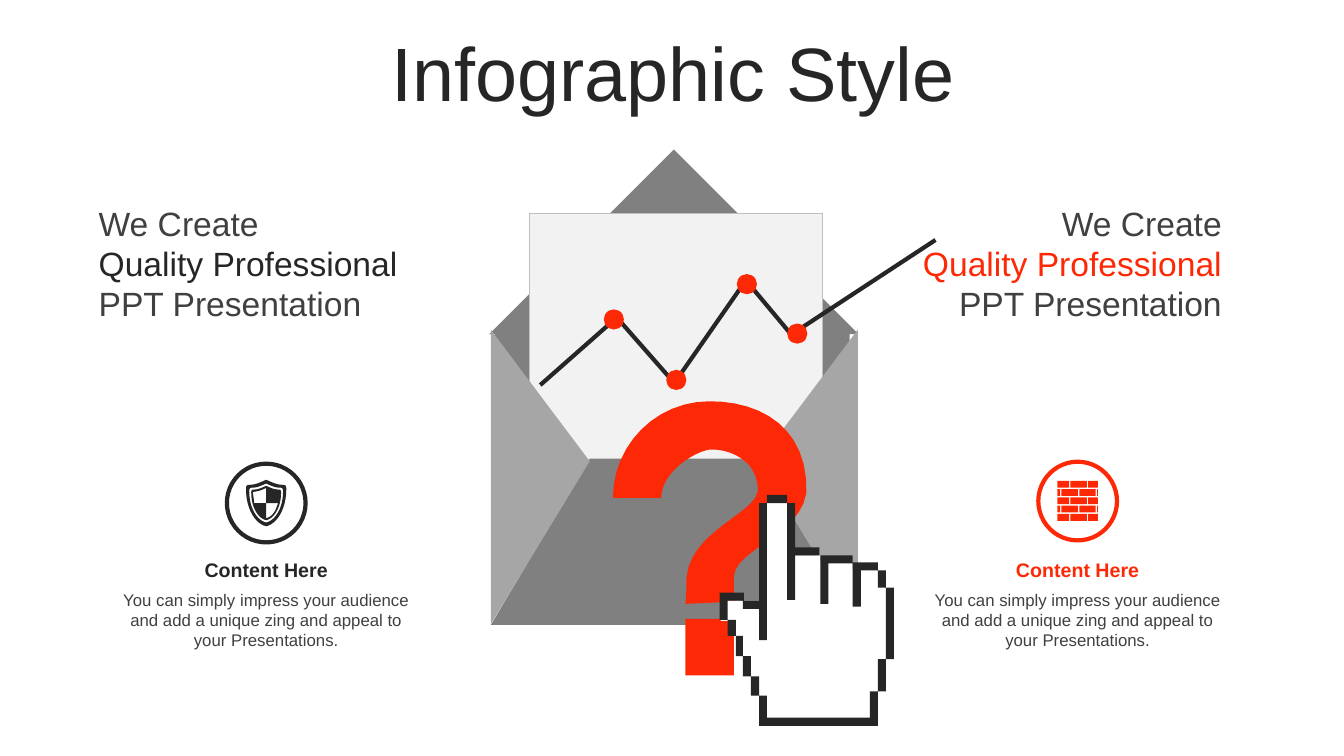
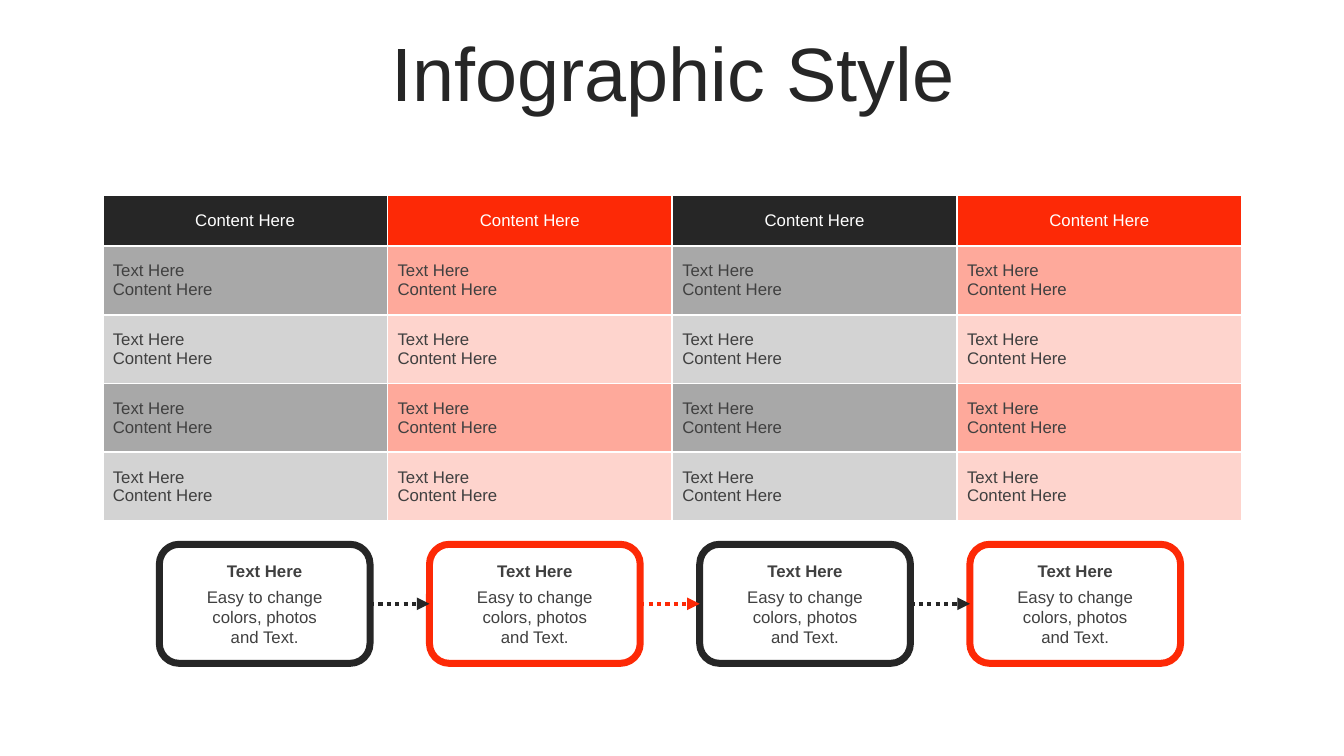
"""Build two infographic slides: an open envelope with a chart, and a table with a process row."""
import dataclasses

import lxml.etree
import pptx
import pptx.dml.color
import pptx.enum.dml
import pptx.enum.shapes
import pptx.enum.text
import pptx.oxml.ns
import pptx.util

Pt = pptx.util.Pt
qn = pptx.oxml.ns.qn
SHAPE = pptx.enum.shapes.MSO_SHAPE
ALIGN = pptx.enum.text.PP_ALIGN
ANCHOR = pptx.enum.text.MSO_ANCHOR


@dataclasses.dataclass(frozen=True)
class Theme:
    font: str = "Arial"
    dark: str = "262626"
    red: str = "FD2906"
    text: str = "404040"
    white: str = "FFFFFF"
    paper: str = "F2F2F2"
    paper_edge: str = "BFBFBF"
    inside: str = "808080"
    flap: str = "A6A6A6"
    title_size: float = 54
    slogan_size: float = 24
    heading_size: float = 14
    body_size: float = 12


T = Theme()
ACCENTS = (T.dark, T.red)
SLIDE_SIZE = (960, 540)
TITLE = "Infographic Style"
TITLE_BOX = (25.2, 26.6, 911.5, 56.9)

SLOGAN = ("We Create", "Quality Professional", "PPT Presentation")
SLOGAN_BOXES = (
    ((63.4, 141.1, 252, 94.3), ALIGN.LEFT, T.dark),
    ((627.8, 141.1, 252, 94.3), ALIGN.RIGHT, T.red),
)
CONTENT_HEADING = "Content Here"
CONTENT_BODY = "You can simply impress your audience and add a unique zing and appeal to your Presentations."
CONTENT_TOP, CONTENT_W, CONTENT_H = 395.2, 220.5, 73
RING = 56.2

ENVELOPE_PARTS = (
    (SHAPE.RECTANGLE, (353.5, 237.6, 253.4, 147.2), 0, None, T.inside, None),
    (SHAPE.RIGHT_TRIANGLE, (388.1, 145.4, 186.5, 186.5), 135, None, T.inside, None),
    (SHAPE.RECTANGLE, (378, 152.6, 209.5, 288.7), 0, None, T.paper, T.paper_edge),
    (SHAPE.TRAPEZOID, (350.6, 327.6, 263.5, 118.8), 0, 0.595, T.inside, None),
    (SHAPE.ISOSCELES_TRIANGLE, (280.8, 305.3, 210.2, 70.6), 90, 0.447, T.flap, None),
    (SHAPE.ISOSCELES_TRIANGLE, (472.3, 305.3, 210.2, 70.6), 270, 0.553, T.flap, None),
)
TREND = [(385.9, 275), (440.6, 226.8), (481.7, 273.6), (532.8, 200.2), (565.2, 239), (668.2, 171.4)]
DOTS = ((438.5, 228.2), (483.1, 271.4), (533.5, 203), (569.5, 238.3))
DOT = 14.4

QUESTION_HOOK = [
    (506.9, 286.6), (544.3, 286.6, 577.4, 306, 576, 352.1),
    (571, 383, 524.9, 392.4, 524.2, 411.8), (524.2, 429.8), (489.6, 431.3),
    (490.3, 424.8, 490.3, 419, 490.3, 413.3), (492.5, 379.4, 539.3, 367.2, 541.4, 350.6),
    (541.4, 326.9, 518.4, 320.4, 506.9, 321.1), (496.1, 322.6, 472.3, 337, 472.3, 355.7),
    (437.8, 355.7), (437.8, 317.5, 468.7, 286.6, 506.9, 286.6),
]
QUESTION_DOT = (489.6, 442.1, 34.6, 40.3)

HAND_BODY = [
    (547.9, 359.3), (562.3, 359.3), (562.3, 396.7), (586.1, 396.7), (586.1, 401),
    (609.1, 401), (609.1, 406.8), (627.1, 406.8), (627.1, 419.8), (637.2, 419.8),
    (637.2, 470.9), (627.1, 470.9), (627.1, 493.9), (624.2, 493.9), (624.2, 513.4),
    (545.8, 513.4), (545.8, 496.8), (542.2, 496.8), (542.2, 483.1), (535, 483.1),
    (535, 468.7), (527.8, 468.7), (527.8, 454.3), (522, 454.3), (522, 443.5),
    (514.8, 443.5), (514.8, 429.1), (547.9, 429.1),
]
HAND_PIXELS = (
    (547.9, 353.5, 562.3, 359.3), (542.2, 359.3, 547.9, 457.2), (562.3, 359.3, 568.1, 428.4),
    (568.1, 391, 585.4, 396.7), (586.1, 396.7, 591.8, 431.3), (591.8, 396.7, 609.1, 402.5),
    (609.1, 401.8, 614.9, 433.4), (614.9, 401.8, 627.1, 407.5), (627.1, 407.5, 632.9, 419.8),
    (632.9, 419.8, 638.6, 470.9), (627.1, 470.9, 632.9, 493.9), (621.4, 493.9, 627.1, 518.4),
    (547.9, 512.6, 621.4, 518.4), (542.2, 496.8, 547.9, 518.4), (536.4, 483.1, 542.2, 496.8),
    (530.6, 468.7, 536.4, 483.1), (525.6, 454.3, 530.6, 468.7), (519.8, 442.8, 525.6, 454.3),
    (514.1, 423.4, 519.8, 442.8), (519.8, 423.4, 531.4, 429.1), (530.6, 429.1, 542.2, 434.9),
)

SHIELD_HALF = [
    (0, -16.6), (5, -14.4, 7.9, -13, 12.2, -13),
    (13.7, -13, 14.4, -12.2, 14.4, -10.1), (14.4, 5, 7.2, 15.1, 0, 16.6),
]
SHIELD_SCALES = (1, 0.84, 0.74)
SHIELD_QUARTERS = (
    [(0, 0), (0, -10.8), (-2.9, -9.4, -4.3, -8.6, -9.4, -7.9), (-9.4, -5, -8.6, -2.9, -8.6, 0)],
    [(0, 0), (8.6, 0), (7.2, 3.6, 5.8, 9.4, 0, 10.8)],
)
WALL, BRICK_W, BRICK_H, BRICK_STEP, ROW_STEP = 28.8, 11.7, 4.9, 12.7, 5.9

TABLE_HEADS = ("Content Here",) * 4
TABLE_CELL = ("Text Here", "Content Here")
TABLE_ALPHAS = (40, 20, 40, 20)
TABLE_BOX = (73.4, 139, 813.6, 233.1)
HEAD_H, ROW_H = 36.7, 49.1

STEPS = (("Text Here", "Easy to change colors, photos and Text."),) * 4
STEP_LEFT, STEP_TOP, STEP_W, STEP_H, STEP_PITCH = 113.8, 388.8, 150.5, 85, 193


def rgb(color):
    return pptx.dml.color.RGBColor.from_string(color)


def pts(values):
    return [Pt(v) for v in values]


def paint(sp, fill=None, line=None, width=1):
    sp.shadow.inherit = False
    if fill:
        sp.fill.solid()
        sp.fill.fore_color.rgb = rgb(fill)
    else:
        sp.fill.background()
    if line:
        sp.line.color.rgb = rgb(line)
        sp.line.width = Pt(width)
    else:
        sp.line.fill.background()
    return sp


def add_shape(sl, kind, box, **look):
    return paint(sl.shapes.add_shape(kind, *pts(box)), **look)


def put_text(tf, lines, align):
    """Fill a text frame from (text, size, colour, bold, space before) lines."""
    tf.word_wrap = True
    for i, (text, size, color, bold, before) in enumerate(lines):
        p = tf.add_paragraph() if i else tf.paragraphs[0]
        p.text = text
        p.alignment = align
        if before:
            p.space_before = Pt(before)
        p.font.name = T.font
        p.font.size = Pt(size)
        p.font.bold = bold
        p.font.color.rgb = rgb(color)


def add_text(sl, box, lines, align):
    tf = sl.shapes.add_textbox(*pts(box)).text_frame
    put_text(tf, lines, align)
    return tf


def flatten(path, steps=12):
    """Turn points and six-number cubic curves into plain points."""
    out = []
    for node in path:
        if len(node) == 2:
            out.append(node)
            continue
        ctrl = [out[-1], node[:2], node[2:4], node[4:]]
        for k in range(1, steps + 1):
            t = k / steps
            weights = ((1 - t) ** 3, 3 * t * (1 - t) ** 2, 3 * t * t * (1 - t), t ** 3)
            out.append(tuple(sum(w * c[axis] for w, c in zip(weights, ctrl)) for axis in (0, 1)))
    return out


def add_paths(sl, paths, origin=(0, 0), closed=True, **look):
    builder = None
    for path in paths:
        points = [(Pt(origin[0] + x), Pt(origin[1] + y)) for x, y in flatten(path)]
        if builder is None:
            builder = sl.shapes.build_freeform(*points[0])
        else:
            builder.move_to(*points[0])
        builder.add_line_segments(points[1:], close=closed)
    return paint(builder.convert_to_shape(), **look)


def rect_path(left, top, right, bottom):
    return [(left, top), (right, top), (right, bottom), (left, bottom)]


def shield_paths():
    half = flatten(SHIELD_HALF)
    outline = half + [(-x, y) for x, y in reversed(half[1:-1])]
    rings = [[(x * s, y * s) for x, y in outline] for s in SHIELD_SCALES]
    return rings + list(SHIELD_QUARTERS)


def wall_paths():
    paths = []
    for row in range(5):
        top = -WALL / 2 + row * ROW_STEP
        start = -9.8 if row % 2 else -3.4
        for col in range(4):
            x = start + col * BRICK_STEP
            left, right = max(x, 0), min(x + BRICK_W, WALL)
            if left < right:
                paths.append(rect_path(left - WALL / 2, top, right - WALL / 2, top + BRICK_H))
    return paths


def new_slide(prs):
    sl = prs.slides.add_slide(prs.slide_layouts[6])
    tf = add_text(sl, TITLE_BOX, [(TITLE, T.title_size, T.dark, False, 0)], ALIGN.CENTER)
    tf.vertical_anchor = ANCHOR.MIDDLE
    tf.paragraphs[0].line_spacing = 0.9
    return sl


def envelope_slide(prs):
    sl = new_slide(prs)
    for kind, box, turn, adjust, fill, line in ENVELOPE_PARTS:
        sp = add_shape(sl, kind, box, fill=fill, line=line)
        sp.rotation = turn
        if adjust:
            sp.adjustments[0] = adjust
    add_paths(sl, [TREND], closed=False, line=T.dark, width=3)
    for x, y in DOTS:
        add_shape(sl, SHAPE.OVAL, (x - DOT / 2, y - DOT / 2, DOT, DOT), fill=T.red)
    add_paths(sl, [QUESTION_HOOK], fill=T.red)
    add_shape(sl, SHAPE.RECTANGLE, QUESTION_DOT, fill=T.red)
    add_paths(sl, [HAND_BODY], fill=T.white)
    add_paths(sl, [rect_path(*pixel) for pixel in HAND_PIXELS], fill=T.dark)

    for left, ring_y, color, icon in ((79.9, 359.3, T.dark, shield_paths()),
                                      (659.5, 357.9, T.red, wall_paths())):
        x = left + CONTENT_W / 2
        add_shape(sl, SHAPE.OVAL, (x - RING / 2, ring_y - RING / 2, RING, RING), line=color, width=3)
        add_paths(sl, icon, origin=(x, ring_y), fill=color)
        add_text(sl, (left, CONTENT_TOP, CONTENT_W, CONTENT_H),
                 [(CONTENT_HEADING, T.heading_size, color, True, 0),
                  (CONTENT_BODY, T.body_size, T.text, False, 5.6)], ALIGN.CENTER)
    for box, align, accent in SLOGAN_BOXES:
        colors = (T.text, accent, T.text)
        add_text(sl, box, [(s, T.slogan_size, c, False, 0) for s, c in zip(SLOGAN, colors)], align)


def style_cell(cell, lines, color, align, fill, alpha):
    cell.vertical_anchor = ANCHOR.MIDDLE
    put_text(cell.text_frame, [(s, T.body_size, color, False, 0) for s in lines], align)
    tc_pr = cell._tc.get_or_add_tcPr()
    for side in ("a:lnL", "a:lnR", "a:lnT", "a:lnB"):
        ln = lxml.etree.SubElement(tc_pr, qn(side), w=str(Pt(1.5)))
        solid = lxml.etree.SubElement(ln, qn("a:solidFill"))
        lxml.etree.SubElement(solid, qn("a:srgbClr"), val=T.white)
    cell.fill.solid()
    cell.fill.fore_color.rgb = rgb(fill)
    if alpha < 100:
        clr = tc_pr.find(qn("a:solidFill")).find(qn("a:srgbClr"))
        lxml.etree.SubElement(clr, qn("a:alpha"), val=str(alpha * 1000))


def add_arrow(sl, start, end, color):
    cn = sl.shapes.add_connector(pptx.enum.shapes.MSO_CONNECTOR.STRAIGHT, 0, 0, 0, 0)
    cn.begin_connect(start, 3)
    cn.end_connect(end, 1)
    cn.line.color.rgb = rgb(color)
    cn.line.width = Pt(3)
    cn.line.dash_style = pptx.enum.dml.MSO_LINE.ROUND_DOT
    lxml.etree.SubElement(cn.line._get_or_add_ln(), qn("a:tailEnd"), type="triangle")
    lxml.etree.SubElement(cn._element.spPr, qn("a:effectLst"))


def table_slide(prs):
    sl = new_slide(prs)
    rows, cols = len(TABLE_ALPHAS) + 1, len(TABLE_HEADS)
    table = sl.shapes.add_table(rows, cols, *pts(TABLE_BOX)).table
    table.first_row = table.horz_banding = False
    for r, row in enumerate(table.rows):
        row.height = Pt(ROW_H if r else HEAD_H)
        for c, head in enumerate(TABLE_HEADS):
            look = ((TABLE_CELL, T.text, ALIGN.LEFT) if r else ((head,), T.white, ALIGN.CENTER))
            style_cell(table.cell(r, c), *look, ACCENTS[c % 2], TABLE_ALPHAS[r - 1] if r else 100)

    boxes = []
    for i, (heading, body) in enumerate(STEPS):
        sp = add_shape(sl, SHAPE.ROUNDED_RECTANGLE,
                       (STEP_LEFT + i * STEP_PITCH, STEP_TOP, STEP_W, STEP_H),
                       fill=T.white, line=ACCENTS[i % 2], width=5)
        tf = sp.text_frame
        tf.margin_left = tf.margin_right = Pt(24)
        tf.vertical_anchor = ANCHOR.MIDDLE
        put_text(tf, [(heading, T.body_size, T.text, True, 0),
                      (body, T.body_size, T.text, False, 4)], ALIGN.CENTER)
        boxes.append(sp)
    for i, (start, end) in enumerate(zip(boxes, boxes[1:])):
        add_arrow(sl, start, end, ACCENTS[i % 2])


def main():
    prs = pptx.Presentation()
    prs.slide_width, prs.slide_height = pts(SLIDE_SIZE)
    envelope_slide(prs)
    table_slide(prs)
    prs.save("out.pptx")


if __name__ == "__main__":
    main()
